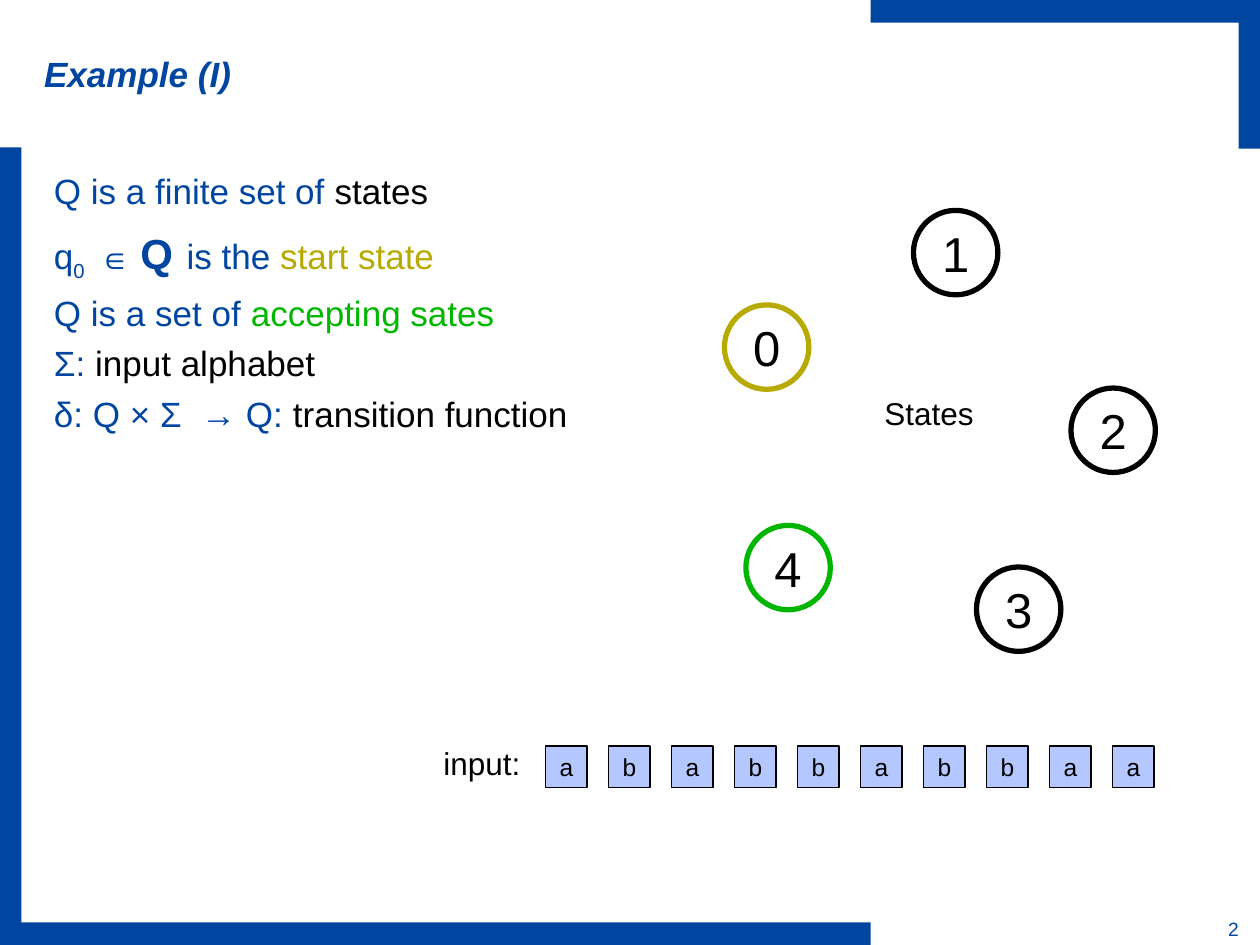
from dataclasses import dataclass
from typing import Optional

from pptx import Presentation
from pptx.dml.color import RGBColor
from pptx.enum.shapes import MSO_SHAPE as Kind
from pptx.enum.text import MSO_ANCHOR as Anchor, MSO_AUTO_SIZE as Fit, PP_ALIGN as Align
from pptx.util import Inches, Pt

BLUE = RGBColor(0x00, 0x46, 0xA0)
BLACK = RGBColor(0x00, 0x00, 0x00)
GOLD = RGBColor(0xB6, 0xAA, 0x03)
GREEN = RGBColor(0x00, 0xB6, 0x00)
PALE = RGBColor(0xB4, 0xC8, 0xFF)


@dataclass
class Run:
    text: str
    color: RGBColor = BLUE
    size: float = 20
    bold: bool = False
    base: int = 0


@dataclass
class Box:
    left: float
    top: float
    width: float
    height: float

    def place(self) -> tuple:
        return tuple(Inches(n) for n in (self.left, self.top, self.width, self.height))


@dataclass
class State:
    name: str
    left: float
    top: float
    color: RGBColor = BLACK


BARS = [
    Box(0, 7.32, 6.91, 0.18),
    Box(0, 1.17, 0.17, 6.33),
    Box(6.91, 0, 3.09, 0.18),
    Box(9.83, 0, 0.17, 1.18),
]

STATES = [
    State("0", 5.75, 2.42, GOLD),
    State("1", 7.25, 1.67),
    State("2", 8.5, 3.08),
    State("3", 7.75, 4.5),
    State("4", 5.92, 4.17, GREEN),
]

LINES = [
    [Run("Q is a finite set of "), Run("states", BLACK)],
    [Run("q"), Run("0 ", base=-25), Run(" ∈", size=18), Run(" "),
     Run("Q", size=24, bold=True), Run(" ", size=28), Run("is the "),
     Run("start state", GOLD)],
    [Run("Q is a set of "), Run("accepting sates", GREEN)],
    [Run("Σ: "), Run("input alphabet", BLACK)],
    [Run("δ: Q × Σ  → Q: "), Run("transition function", BLACK)],
]

INPUT = "ababbabbaa"


def write(frame, lines: list, *, align=Align.LEFT, anchor=Anchor.TOP,
          wrap: bool = False, italic: bool = False, before: float = 0,
          inset: float = 0.1) -> None:
    frame.word_wrap = wrap
    frame.auto_size = Fit.NONE
    frame.vertical_anchor = anchor
    frame.margin_left, frame.margin_right = Inches(inset), Inches(0.1)
    frame.margin_top = frame.margin_bottom = Inches(0.05)
    for i, runs in enumerate(lines):
        para = frame.add_paragraph() if i else frame.paragraphs[0]
        para.alignment = align
        para.space_before = Pt(before)
        for item in runs:
            run = para.add_run()
            run.text = item.text
            font = run.font
            font.name = "Arial"
            font.size = Pt(item.size)
            font.bold = item.bold
            font.italic = italic
            font.color.rgb = item.color
            if item.base:
                font._element.set("baseline", str(item.base * 1000))


def draw(slide, kind: Kind, box: Box, *, fill: Optional[RGBColor] = None,
         line: Optional[RGBColor] = None, width: float = 0.75,
         label: Optional[Run] = None) -> None:
    shape = slide.shapes.add_shape(kind, *box.place())
    shape.shadow.inherit = False
    if fill is None:
        shape.fill.background()
    else:
        shape.fill.solid()
        shape.fill.fore_color.rgb = fill
    if line is None:
        shape.line.fill.background()
    else:
        shape.line.color.rgb = line
        shape.line.width = Pt(width)
    if label:
        write(shape.text_frame, [[label]], align=Align.CENTER, anchor=Anchor.MIDDLE)


def note(slide, box: Box, lines: list, **form) -> None:
    write(slide.shapes.add_textbox(*box.place()).text_frame, lines, **form)


def main() -> None:
    deck = Presentation()
    deck.slide_width, deck.slide_height = Inches(10), Inches(7.5)
    slide = deck.slides.add_slide(deck.slide_layouts[5])

    for bar in BARS:
        draw(slide, Kind.RECTANGLE, bar, fill=BLUE)

    title = slide.shapes.title
    title.left, title.top, title.width, title.height = Box(0, 0, 6.85, 1.17).place()
    write(title.text_frame, [[Run("Example (I)", bold=True)]],
          anchor=Anchor.MIDDLE, wrap=True, italic=True, inset=0.35)

    note(slide, Box(0.33, 1.3, 4.62, 2.7), LINES, wrap=True, before=5)

    for state in STATES:
        draw(slide, Kind.OVAL, Box(state.left, state.top, 0.67, 0.67),
             line=state.color, width=3, label=Run(state.name, BLACK, 28))

    for i, sign in enumerate(INPUT):
        draw(slide, Kind.RECTANGLE, Box(4.33 + i * 0.5, 5.92, 0.33, 0.33),
             fill=PALE, line=BLACK, label=Run(sign, BLACK, 14))

    note(slide, Box(3.42, 5.86, 0.81, 0.4), [[Run("input:", BLACK, 18)]])
    note(slide, Box(6.92, 3.08, 0.91, 0.4), [[Run("States", BLACK, 18)]])
    note(slide, Box(9.34, 7.23, 0.9, 0.29), [[Run("2", size=11)]], align=Align.CENTER)

    deck.save("out.pptx")


if __name__ == "__main__":
    main()
